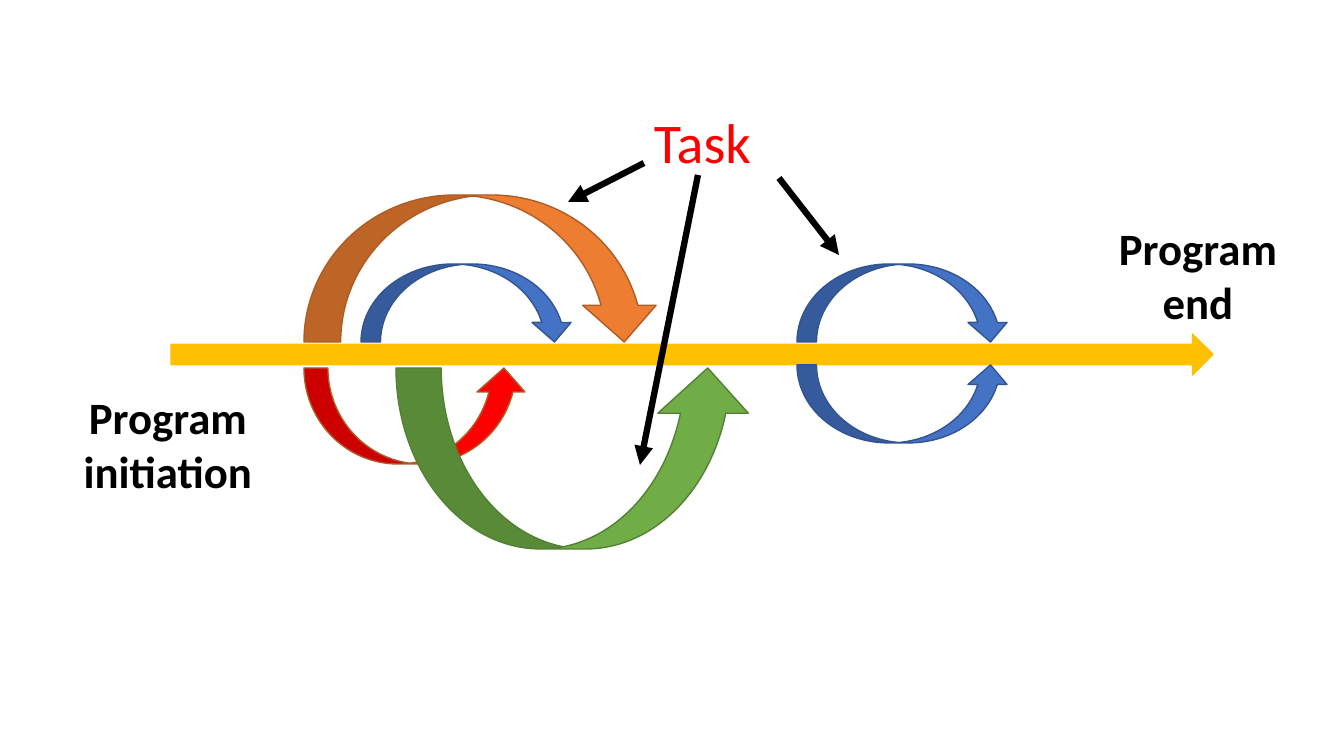
from lxml.etree import SubElement
from pptx import Presentation
from pptx.dml.color import RGBColor
from pptx.enum.shapes import MSO_CONNECTOR, MSO_SHAPE
from pptx.enum.text import MSO_AUTO_SIZE, PP_ALIGN
from pptx.oxml.ns import qn
from pptx.util import Emu, Pt

BLACK = RGBColor(0x00, 0x00, 0x00)
RED = RGBColor(0xFF, 0x00, 0x00)
GOLD = RGBColor(0xFF, 0xC0, 0x00)
BLUE = RGBColor(0x44, 0x72, 0xC4)
DARK_BLUE = RGBColor(0x32, 0x54, 0x91)
ORANGE = RGBColor(0xED, 0x7D, 0x31)
BROWN = RGBColor(0xAF, 0x5C, 0x24)
GREEN = RGBColor(0x70, 0xAD, 0x47)
DARK_GREEN = RGBColor(0x53, 0x80, 0x35)


def px(*lengths):
    """Turn pixels, 100.8 to the inch, into EMU."""
    return [Emu(round(length * 914400 / 100.8)) for length in lengths]


presentation = Presentation()
presentation.slide_width, presentation.slide_height = px(1344, 756)
slide = presentation.slides.add_slide(presentation.slide_layouts[6])

# Timeline and the task loops above and below it
DOWN = MSO_SHAPE.CURVED_DOWN_ARROW
UP = MSO_SHAPE.CURVED_UP_ARROW
arrows = [
    (MSO_SHAPE.RIGHT_ARROW, (171, 334, 1042, 41), GOLD, GOLD, False),
    (DOWN, (361, 264, 213, 78), BLUE, DARK_BLUE, False),
    (UP, (304, 368, 224, 96), RED, BROWN, False),
    (DOWN, (304, 195, 357, 147), ORANGE, BROWN, False),
    (DOWN, (396, 368, 357, 181), GREEN, DARK_GREEN, True),
    (DOWN, (797, 264, 213, 78), BLUE, DARK_BLUE, False),
    (DOWN, (797, 365, 213, 78), BLUE, DARK_BLUE, True),
]
for kind, box, fill, outline, flipped in arrows:
    shape = slide.shapes.add_shape(kind, *px(*box))
    shape.shadow.inherit = False
    shape.fill.solid()
    shape.fill.fore_color.rgb = fill
    shape.line.color.rgb = outline
    shape.line.width = Pt(1)
    if flipped:
        shape.element.spPr.find(qn("a:xfrm")).set("flipV", "1")

labels = [
    ("Program initiation", (66, 385, 204, 119), 32, BLACK, True, PP_ALIGN.CENTER),
    ("Program end", (1107, 216, 182, 119), 32, BLACK, True, PP_ALIGN.CENTER),
    ("Task", (644, 103, 292, 78), 40, RED, False, PP_ALIGN.LEFT),
]
for text, box, size, color, bold, alignment in labels:
    text_frame = slide.shapes.add_textbox(*px(*box)).text_frame
    text_frame.word_wrap = True
    text_frame.auto_size = MSO_AUTO_SIZE.SHAPE_TO_FIT_TEXT
    text_frame.text = text
    paragraph = text_frame.paragraphs[0]
    paragraph.alignment = alignment
    font = paragraph.runs[0].font
    font.name = "Calibri"
    font.size = Pt(size)
    font.bold = bold
    font.color.rgb = color

# Pointers from the task label to the loops
pointers = [(644, 163, 568, 202), (779, 178, 839, 255), (698, 175, 640, 465)]
for ends in pointers:
    pointer = slide.shapes.add_connector(MSO_CONNECTOR.STRAIGHT, *px(*ends))
    pointer.line.color.rgb = BLACK
    pointer.line.width = Pt(4.5)
    SubElement(pointer.line._get_or_add_ln(), qn("a:tailEnd"), type="triangle")
    SubElement(pointer.element.spPr, qn("a:effectLst"))

presentation.save("out.pptx")
